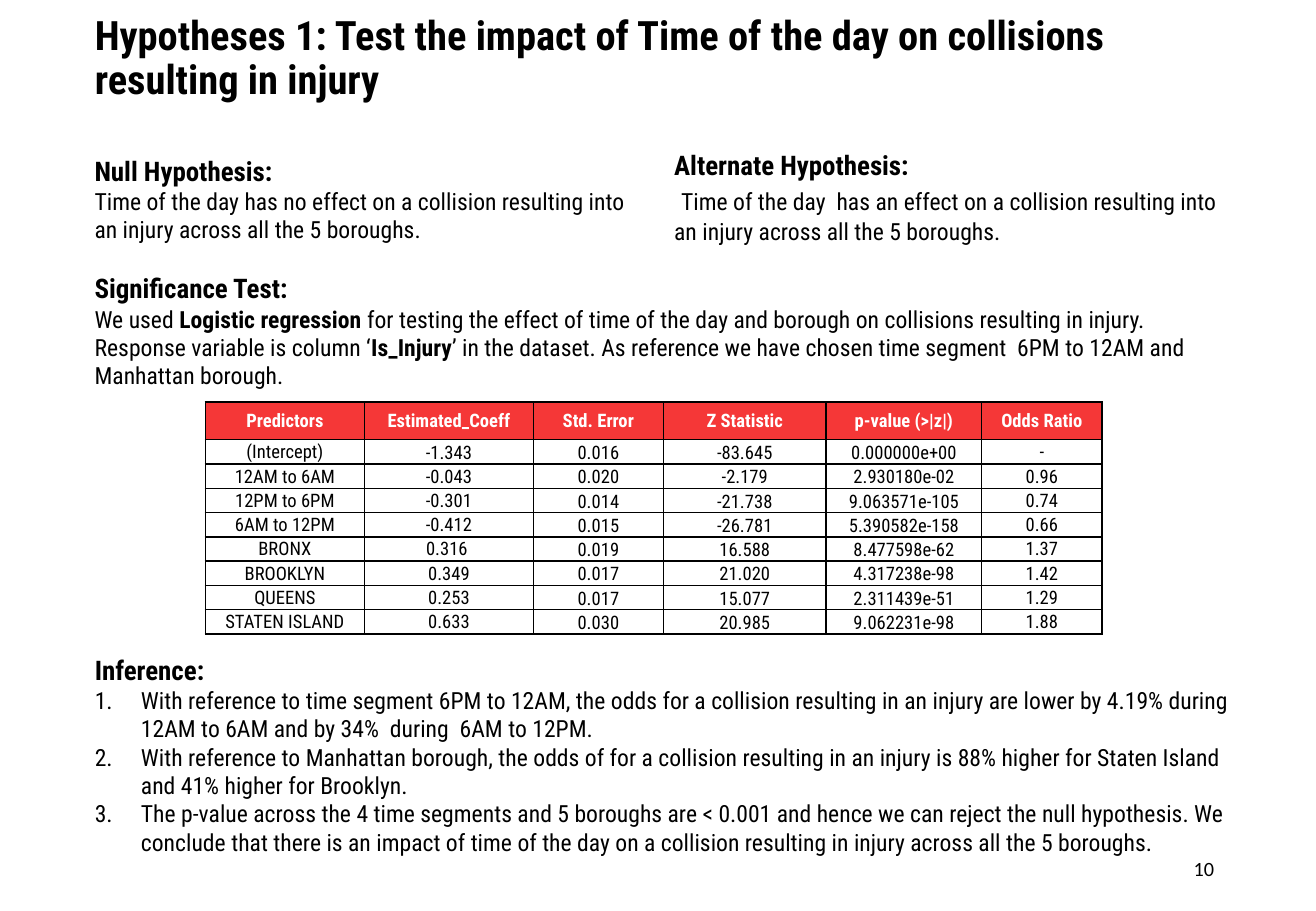
from lxml import etree
from pptx import Presentation
from pptx.dml.color import RGBColor
from pptx.enum.text import MSO_ANCHOR, MSO_AUTO_SIZE, PP_ALIGN
from pptx.oxml.ns import qn
from pptx.util import Inches, Pt

TOP, MID, LOW = MSO_ANCHOR.TOP, MSO_ANCHOR.MIDDLE, MSO_ANCHOR.BOTTOM
LEFT, MIDDLE, RIGHT = PP_ALIGN.LEFT, PP_ALIGN.CENTER, PP_ALIGN.RIGHT
FIT = MSO_AUTO_SIZE.NONE
COLORS = {"ink": "000000", "head": "F53737", "paper": "FFFFFF"}
HEAD, BODY = (16, True), (14, False)


class Page:
    """Style and current slide."""

    def __init__(self, deck):
        self.font = "Roboto Condensed"
        self.slide = deck.slides.add_slide(deck.slide_layouts[1])

    def color(self, name):
        return RGBColor.from_string(COLORS[name])

    def run(self, para, text, size, bold, color="ink", font=None):
        run = para.add_run()
        run.text = text
        run.font.name = font or self.font
        run.font.size = Pt(size)
        run.font.bold = bold
        run.font.color.rgb = self.color(color)

    def fill(self, shape, area, paras, anchor=TOP, align=LEFT, font=None, line=1.0):
        """Place a shape and write paragraphs of (text, (size, bold)) runs."""
        shape.left, shape.top, shape.width, shape.height = map(Inches, area)
        frame = shape.text_frame
        frame.word_wrap, frame.auto_size = True, FIT
        frame.vertical_anchor = anchor
        frame.margin_left = frame.margin_right = Inches(0.1)
        frame.margin_top = frame.margin_bottom = Inches(0.05)
        for i, runs in enumerate(paras):
            para = frame.add_paragraph() if i else frame.paragraphs[0]
            para.alignment, para.line_spacing = align, line
            para.space_before = para.space_after = Pt(0)
            for text, style in runs:
                self.run(para, text, *style, font=font)
        return frame

    def title(self, area, text):
        self.fill(self.slide.shapes.title, area, [[(text, (24, True))]], LOW, line=0.9)

    def text(self, area, paras, **look):
        box = self.slide.shapes.add_textbox(*map(Inches, area))
        self.fill(box, area, paras, **look)

    def list(self, area, head, items):
        paras = [[(head, HEAD)]] + [[(item, BODY)] for item in items]
        frame = self.fill(self.slide.placeholders[1], area, paras)
        for i, para in enumerate(frame.paragraphs):
            props = para._p.get_or_add_pPr()
            indent = Inches(0.38) if i else 0
            props.set("marL", str(indent))
            props.set("indent", str(-indent))
            if i:
                face = etree.SubElement(props, qn("a:buFont"))
                face.set("typeface", self.font)
                etree.SubElement(props, qn("a:buAutoNum")).set("type", "arabicPeriod")
            else:
                etree.SubElement(props, qn("a:buNone"))

    def border(self, cell):
        props = cell._tc.get_or_add_tcPr()
        for side in ("lnL", "lnR", "lnT", "lnB"):
            line = etree.SubElement(props, qn("a:" + side), w=str(Pt(1)))
            paint = etree.SubElement(line, qn("a:solidFill"))
            etree.SubElement(paint, qn("a:srgbClr"), val=COLORS["ink"])

    def table(self, area, widths, heights, rows):
        shape = self.slide.shapes.add_table(len(rows), len(widths), *map(Inches, area))
        grid = shape.table
        for col, width in zip(grid.columns, widths):
            col.width = Inches(width)
        for r, (row, height) in enumerate(zip(rows, heights)):
            grid.rows[r].height = Inches(height)
            for c, text in enumerate(row):
                cell = grid.cell(r, c)
                self.border(cell)
                cell.fill.solid()
                cell.fill.fore_color.rgb = self.color("paper" if r else "head")
                cell.margin_left = cell.margin_right = cell.margin_top = Inches(0.01)
                cell.margin_bottom = 0
                # Figures sit low, apart from the label and ratio columns
                low = r and (c in (2, 3, 4) or (r, c) == (1, 1))
                cell.vertical_anchor = LOW if low else MID
                para = cell.text_frame.paragraphs[0]
                para.alignment = MIDDLE
                self.run(para, text, 11, r == 0, "ink" if r else "paper")


def main():
    deck = Presentation()
    deck.slide_width, deck.slide_height = Inches(10.83), Inches(7.5)
    page = Page(deck)

    # Title
    page.title((0.68, 0.38, 9.62, 0.52),
               "Hypotheses 1: Test the impact of Time of the day on collisions resulting in injury")

    # Both hypotheses
    page.text((0.68, 1.11, 4.76, 1.05), [
        [("Null Hypothesis:", HEAD)],
        [("Time of the day has no effect on a collision resulting into an injury "
          "across all the 5 boroughs.", BODY)],
    ], anchor=MID)
    page.text((5.45, 1.08, 4.67, 1.08), [
        [("Alternate Hypothesis:", HEAD)],
        [(" ", (18, True)),
         ("Time of the day  has an effect on a collision resulting into an injury "
          "across all the 5 boroughs.", BODY)],
    ], anchor=MID)

    # Significance test
    page.text((0.68, 2.19, 9.41, 1.28), [
        [("Significance Test:", HEAD)],
        [("We used ", BODY),
         ("Logistic regression ", (14, True)),
         ("for testing the effect of time of the day and borough on collisions "
          "resulting in injury. Response variable is column ‘", BODY),
         ("Is_Injury", (14, True)),
         ("’ in the dataset. As reference we have chosen time segment  6PM to 12AM "
          "and Manhattan borough.", BODY)],
    ])

    # Regression results
    page.table((1.69, 3.31, 7.38, 1.91),
               (1.31, 1.39, 1.07, 1.34, 1.28, 0.99), [0.31] + [0.2] * 8, [
        ("Predictors", "Estimated_Coeff", "Std. Error", "Z Statistic", "p-value (>|z|)", "Odds Ratio"),
        ("(Intercept)", "-1.343", "0.016", "-83.645", "0.000000e+00", "-"),
        ("12AM to 6AM", "-0.043", "0.020", "-2.179", "2.930180e-02", "0.96"),
        ("12PM to 6PM", "-0.301", "0.014", "-21.738", "9.063571e-105", "0.74"),
        ("6AM to 12PM", "-0.412", "0.015", "-26.781", "5.390582e-158", "0.66"),
        ("BRONX", "0.316 ", "0.019", "16.588", "8.477598e-62", "1.37"),
        ("BROOKLYN", "0.349", "0.017", "21.020", "4.317238e-98", "1.42"),
        ("QUEENS", "0.253", "0.017", "15.077", "2.311439e-51", "1.29"),
        ("STATEN ISLAND", "0.633", "0.030", "20.985", "9.062231e-98", "1.88"),
    ])

    # Inference
    page.list((0.68, 5.33, 9.62, 2.15), "Inference:", [
        "With reference to time segment 6PM to 12AM, the odds for a collision resulting in an "
        "injury are lower by 4.19% during 12AM to 6AM and by 34%  during  6AM to 12PM.",
        "With reference to Manhattan borough, the odds of for a collision resulting in an injury "
        "is 88% higher for Staten Island and 41% higher for Brooklyn.",
        "The p-value across the 4 time segments and 5 boroughs are < 0.001 and hence we can "
        "reject the null hypothesis. We conclude that there is an impact of time of the day on "
        "a collision resulting in injury across all the 5 boroughs.",
    ])

    # Page number
    page.text((7.65, 6.95, 2.44, 0.4), [[("10", (12, False))]],
              anchor=MID, align=RIGHT, font="Calibri")

    deck.save("out.pptx")


if __name__ == "__main__":
    main()
